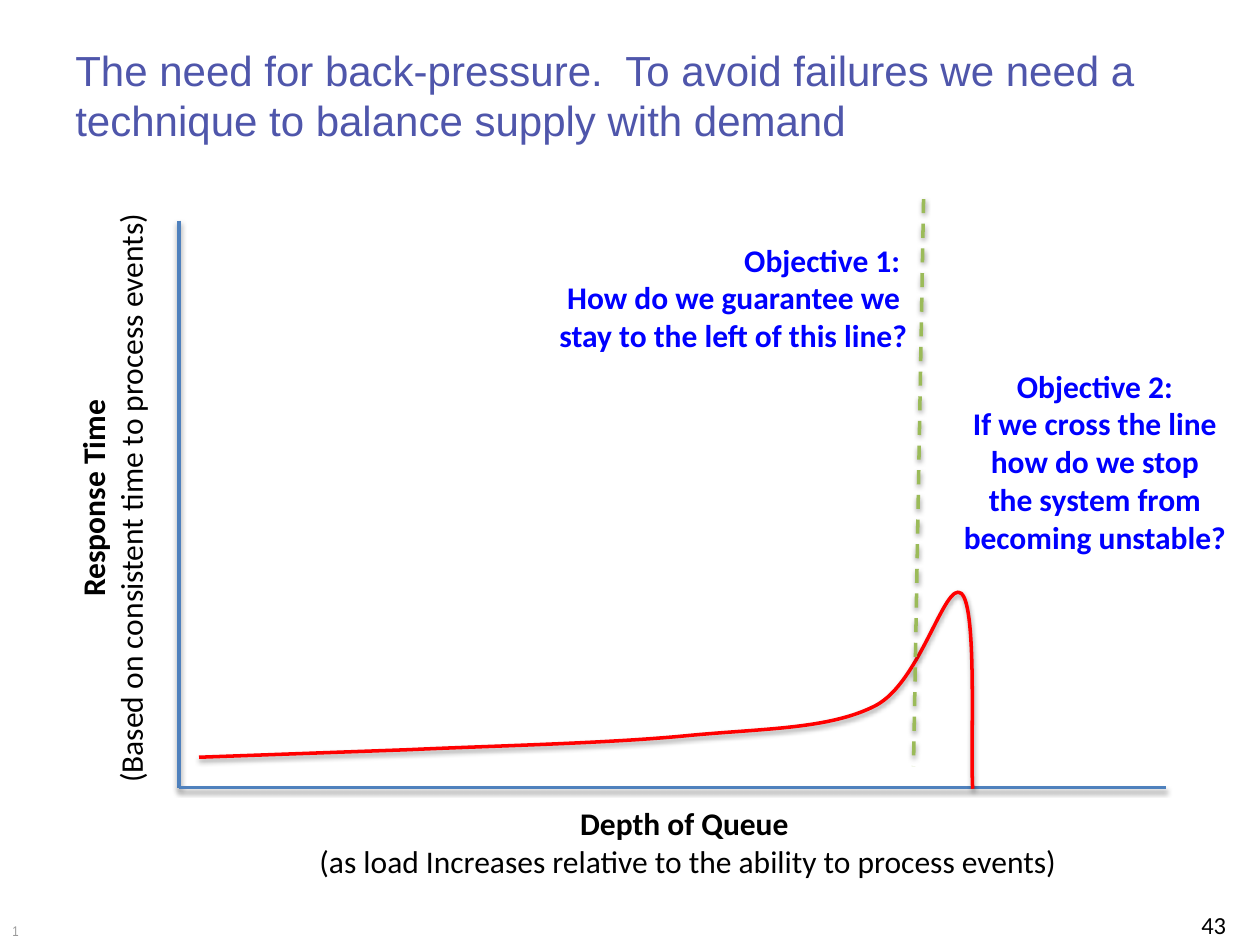
from dataclasses import dataclass

from lxml import etree
from pptx import Presentation
from pptx.dml.color import RGBColor
from pptx.enum import dml, shapes, text
from pptx.oxml import parse_xml
from pptx.oxml.ns import nsdecls, qn
from pptx.util import Inches, Pt

Point = tuple[float, float]
CURVE_UNITS = 1000


@dataclass(frozen=True)
class TextStyle:
    size: float
    font: str
    color: str
    bold: bool = False


@dataclass(frozen=True)
class Theme:
    title: TextStyle = TextStyle(24, "Arial", "4F56AB")
    page: TextStyle = TextStyle(14, "Calibri", "000000")
    footer: TextStyle = TextStyle(8, "Arial Narrow", "999999")
    axis_name: TextStyle = TextStyle(18, "Calibri", "000000", True)
    axis_note: TextStyle = TextStyle(18, "Calibri", "000000")
    objective: TextStyle = TextStyle(18, "Calibri", "0000FF", True)
    axis: str = "4F81BD"
    limit: str = "9BBB59"
    response: str = "FF0000"
    line_width: float = 2


@dataclass(frozen=True)
class Label:
    box: tuple[float, float, float, float]
    paragraphs: tuple[str, ...]
    styles: tuple[TextStyle, ...]
    align: text.PP_ALIGN = text.PP_ALIGN.LEFT
    wrap: bool = True
    rotation: float = 0


@dataclass(frozen=True)
class Rule:
    start: Point
    end: Point
    color: str
    dashed: bool = False


THEME = Theme()
CENTER, RIGHT = text.PP_ALIGN.CENTER, text.PP_ALIGN.RIGHT
AXIS_STYLES = (THEME.axis_name, THEME.axis_note)
ORIGIN = (1.42, 6.25)

RULES = (
    Rule((1.42, 1.75), ORIGIN, THEME.axis),
    Rule(ORIGIN, (9.25, 6.25), THEME.axis),
)
LIMIT = Rule((7.33, 1.58), (7.25, 6.08), THEME.limit, dashed=True)

RESPONSE_START = (1.58, 6.01)
RESPONSE_CURVES = (
    ((2.14, 5.99), (2.69, 5.97), (3.25, 5.95)),
    ((3.9, 5.92), (4.82, 5.9), (5.44, 5.84)),
    ((6.06, 5.78), (6.58, 5.79), (6.95, 5.6)),
    ((7.31, 5.41), (7.5, 4.6), (7.63, 4.71)),
    ((7.76, 4.82), (7.7, 5.94), (7.72, 6.26)),
)

LABELS = (
    Label((0.5, 0.3, 9, 1.25),
          ("The need for back-pressure.  To avoid failures we need a "
           "technique to balance supply with demand",), (THEME.title,)),
    Label((7.5, 7.17, 2.33, 0.23), ("43",), (THEME.page,), RIGHT),
    Label((0, 7.27, 7.33, 0.23), ("1",), (THEME.footer,)),
    Label((2.42, 6.33, 6.08, 0.71),
          ("Depth of Queue \v(as load Increases relative to the ability to process events) ",),
          AXIS_STYLES, CENTER, wrap=False),
    Label((-1.5, 3.6, 4.78, 0.71),
          ("Response Time\v(Based on consistent time to process events)",),
          AXIS_STYLES, CENTER, wrap=False, rotation=270),
    Label((7.54, 2.86, 2.3, 1.62),
          ("Objective 2:\vIf we cross the line\vhow do we stop\v"
           "the system from\vbecoming unstable?",),
          (THEME.objective,), CENTER, wrap=False),
    Label((4.3, 1.86, 3, 1.01),
          ("Objective 1: ", "How do we guarantee we \vstay to the left of this line?"),
          (THEME.objective,), RIGHT, wrap=False),
)


def style_stroke(stroke, color: str) -> None:
    """Colour a line and give it the soft drop shadow of the diagram."""
    stroke.line.color.rgb = RGBColor.from_string(color)
    stroke.line.width = Pt(THEME.line_width)
    properties = stroke._element.spPr
    for effects in properties.findall(qn("a:effectLst")):
        properties.remove(effects)
    properties.append(parse_xml(
        f'<a:effectLst {nsdecls("a")}>'
        f'<a:outerShdw blurRad="{Pt(3.1)}" dist="{Pt(1.6)}" dir="5400000" rotWithShape="0">'
        '<a:srgbClr val="000000"><a:alpha val="38000"/></a:srgbClr>'
        '</a:outerShdw></a:effectLst>'))


def draw_rule(slide, rule: Rule) -> None:
    """Draw one straight line."""
    ends = [Inches(value) for value in (*rule.start, *rule.end)]
    connector = slide.shapes.add_connector(shapes.MSO_CONNECTOR.STRAIGHT, *ends)
    if rule.dashed:
        connector.line.dash_style = dml.MSO_LINE.DASH
    style_stroke(connector, rule.color)


def draw_response(slide) -> None:
    """Draw the response time as a chain of cubic curves."""
    def units(point: Point) -> Point:
        """Convert inches to path units."""
        return round(point[0] * CURVE_UNITS), round(point[1] * CURVE_UNITS)

    anchors = [units(RESPONSE_START), *(units(curve[-1]) for curve in RESPONSE_CURVES)]
    builder = slide.shapes.build_freeform(*anchors[0], scale=Inches(1) / CURVE_UNITS)
    builder.add_line_segments(anchors[1:], close=False)
    response = builder.convert_to_shape()
    left, top = (min(values) for values in zip(*anchors))
    segments = list(response._element.iter(qn("a:lnTo")))
    for segment, curve in zip(segments, RESPONSE_CURVES):
        bezier = etree.Element(qn("a:cubicBezTo"))
        for x, y in map(units, curve):
            etree.SubElement(bezier, qn("a:pt"), x=str(x - left), y=str(y - top))
        segment.getparent().replace(segment, bezier)
    response.fill.background()
    style_stroke(response, THEME.response)


def draw_label(slide, label: Label) -> None:
    """Place a text box; its last style covers all remaining lines."""
    box = slide.shapes.add_textbox(*map(Inches, label.box))
    box.rotation = label.rotation
    frame = box.text_frame
    frame.word_wrap = label.wrap
    if not label.wrap:
        frame.auto_size = text.MSO_AUTO_SIZE.SHAPE_TO_FIT_TEXT
    frame.text = "\n".join(label.paragraphs)
    for paragraph in frame.paragraphs:
        paragraph.alignment = label.align
        for index, run in enumerate(paragraph.runs):
            style = label.styles[min(index, len(label.styles) - 1)]
            run.font.size = Pt(style.size)
            run.font.name = style.font
            run.font.bold = style.bold
            run.font.color.rgb = RGBColor.from_string(style.color)


def main() -> None:
    """Build the back-pressure slide."""
    deck = Presentation()
    deck.slide_width, deck.slide_height = Inches(10), Inches(7.5)
    slide = deck.slides.add_slide(deck.slide_layouts[6])
    for rule in RULES:
        draw_rule(slide, rule)
    draw_response(slide)
    draw_rule(slide, LIMIT)
    for label in LABELS:
        draw_label(slide, label)
    deck.save("out.pptx")


if __name__ == "__main__":
    main()
